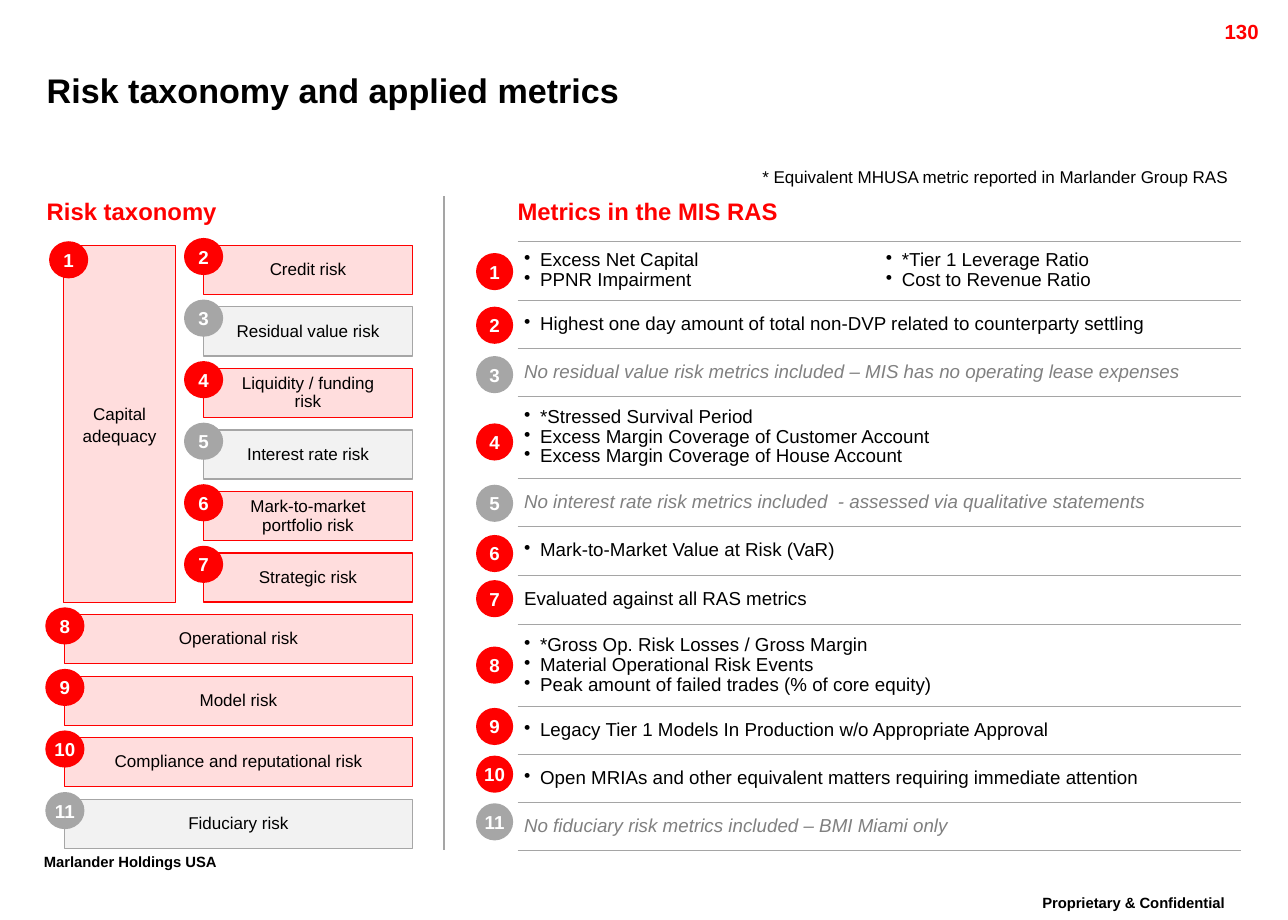
from lxml.etree import SubElement as Sub
from pptx import Presentation
from pptx.dml.color import RGBColor as RGB
from pptx.enum.shapes import MSO_CONNECTOR as LINE, MSO_SHAPE as SHAPE
from pptx.enum.text import MSO_ANCHOR as ANCHOR, PP_ALIGN as ALIGN
from pptx.oxml.ns import qn
from pptx.util import Pt

HUES = {"red": "FF0000", "pink": "FFDDDD", "gray": "A6A6A6", "pale": "F2F2F2",
        "rule": "A5A5A5", "mute": "808080", "black": "000000", "white": "FFFFFF"}

GRAY = {3, 5, 11}  # risks without metrics

# number, label, side inset
RISKS = [
    (2, ["Credit risk"], 3),
    (3, ["Residual value risk"], 3),
    (4, ["Liquidity / funding risk"], 14.4),
    (5, ["Interest rate risk"], 3),
    (6, ["Mark-to-market", "portfolio risk"], 7.2),
    (7, ["Strategic risk"], 3),
    (8, ["Operational risk"], 3),
    (9, ["Model risk"], 3),
    (10, ["Compliance and reputational risk"], 3),
    (11, ["Fiduciary risk"], 3),
]

# badge top, row height, columns spanned, lines
METRICS = [
    (148.5, 34.7, 1, ["Excess Net Capital", "PPNR Impairment"]),
    (180, 28.2, 3, ["Highest one day amount of total non-DVP related to counterparty settling"]),
    (209, 28.2, 3, ["No residual value risk metrics included – MIS has no operating lease expenses"]),
    (248.5, 48.1, 3, ["*Stressed Survival Period",
                      "Excess Margin Coverage of Customer Account",
                      "Excess Margin Coverage of House Account"]),
    (284.5, 28.2, 3, ["No interest rate risk metrics included  - assessed via qualitative statements"]),
    (314, 28.2, 2, ["Mark-to-Market Value at Risk (VaR)"]),
    (340.5, 28.2, 2, ["Evaluated against all RAS metrics"]),
    (379.5, 48.1, 3, ["*Gross Op. Risk Losses / Gross Margin",
                      "Material Operational Risk Events",
                      "Peak amount of failed trades (% of core equity)"]),
    (415.5, 28.2, 3, ["Legacy Tier 1 Models In Production w/o Appropriate Approval"]),
    (443.5, 28.2, 3, ["Open MRIAs and other equivalent matters requiring immediate attention"]),
    (471.5, 28.2, 3, ["No fiduciary risk metrics included – BMI Miami only"]),
]
MORE = ["*Tier 1 Leverage Ratio", "Cost to Revenue Ratio"]


def hue(name):
    return RGB.from_string(HUES[name])


def write(frame, lines, size, color="black", bold=False, slant=False,
          align=ALIGN.LEFT, lead=1.0, dots=False, base=None):
    for i, line in enumerate(lines):
        para = frame.add_paragraph() if i else frame.paragraphs[0]
        para.alignment = align
        para.line_spacing = lead
        if dots:
            props = para._p.get_or_add_pPr()
            props.set("marL", str(Pt(9.4)))
            props.set("indent", str(Pt(-9.4)))
            Sub(props, qn("a:buChar")).set("char", "•")
        run = para.add_run()
        run.text = line
        font = run.font
        font.name, font.size = "Arial", Pt(size)
        font.bold, font.italic = bold, slant
        font.color.rgb = hue(color)
        if base:
            run._r.get_or_add_rPr().set("baseline", str(base))


def pad(frame, side, end):
    frame.margin_left = frame.margin_right = Pt(side)
    frame.margin_top = frame.margin_bottom = Pt(end)


def label(slide, area, text, size, inset=(7.2, 3.6), wrap=True,
          anchor=ANCHOR.TOP, **style):
    frame = slide.shapes.add_textbox(*map(Pt, area)).text_frame
    frame.word_wrap = wrap
    frame.vertical_anchor = anchor
    pad(frame, *inset)
    write(frame, [text], size, **style)


def block(slide, kind, area, fill, edge=None):
    shape = slide.shapes.add_shape(kind, *map(Pt, area))
    shape.shadow.inherit = False
    shape.fill.solid()
    shape.fill.fore_color.rgb = hue(fill)
    if edge:
        shape.line.color.rgb = hue(edge)
        shape.line.width = Pt(0.75)
    else:
        shape.line.fill.background()
    shape.text_frame.vertical_anchor = ANCHOR.MIDDLE
    return shape.text_frame


def box(slide, num, area, lines, side=3, lead=0.92):
    fill, edge = ("pale", "gray") if num in GRAY else ("pink", "red")
    frame = block(slide, SHAPE.RECTANGLE, area, fill, edge)
    frame.word_wrap = True
    pad(frame, side, 3)
    write(frame, lines, 10, align=ALIGN.CENTER, lead=lead)


def badge(slide, num, left, top, width):
    fill = "gray" if num in GRAY else "red"
    frame = block(slide, SHAPE.OVAL, (left, top, width, 21.8), fill)
    frame.word_wrap = False
    write(frame, [str(num)], 11, "white", bold=True, align=ALIGN.CENTER)


def taxonomy(slide):
    box(slide, 1, (37.4, 144, 65.6, 209.5), ["Capital adequacy"], lead=1.07)
    badge(slide, 1, 28.8, 141.6, 23)
    for i, (num, lines, side) in enumerate(RISKS):
        left, spot = (119.5, 108) if num < 8 else (37.8, 26.6)
        top = 144 + 36.13 * i
        box(slide, num, (left, top, 242 - left, 28.8), lines, side)
        badge(slide, num, spot, top - 4.3, 23)


def border(cell):
    """Rule a cell above and below only."""
    props = cell._tc.get_or_add_tcPr()
    for side in "LRTB":
        line = Sub(props, qn("a:ln" + side), w=str(Pt(0.75)))
        if side in "LR":
            Sub(line, qn("a:noFill"))
        else:
            fill = Sub(line, qn("a:solidFill"))
            Sub(fill, qn("a:srgbClr"), val=HUES["rule"])
    cell.fill.background()


def fill(cell, num, lines):
    cell.vertical_anchor = ANCHOR.MIDDLE
    pad(cell, 3.8, 3.6)
    mute = num in GRAY
    write(cell.text_frame, lines, 11, "mute" if mute else "black",
          slant=mute, lead=0.95, dots=not mute and num != 7)


def metrics(slide):
    high = sum(row[1] for row in METRICS)
    table = slide.shapes.add_table(len(METRICS), 3, Pt(303.8), Pt(141.5),
                                   Pt(424.4), Pt(high)).table
    table.first_row = table.horz_banding = False
    for col, width in zip(table.columns, (212.4, 103.5, 108.5)):
        col.width = Pt(width)
    for i, (top, height, span, lines) in enumerate(METRICS):
        table.rows[i].height = Pt(height)
        for j in range(3):
            border(table.cell(i, j))
        if span > 1:
            table.cell(i, 0).merge(table.cell(i, span - 1))
        fill(table.cell(i, 0), i + 1, lines)
        badge(slide, i + 1, 279.4, top, 21.8)
    table.cell(0, 1).merge(table.cell(0, 2))
    fill(table.cell(0, 1), 1, MORE)


def rule(slide, left, top, end):
    line = slide.shapes.add_connector(LINE.STRAIGHT, Pt(left), Pt(top), Pt(left), Pt(end))
    line.line.color.rgb = hue("rule")
    line.line.width = Pt(0.75)
    Sub(line._element.spPr, qn("a:effectLst"))


def main():
    deck = Presentation()
    deck.slide_width, deck.slide_height = Pt(756), Pt(540)
    slide = deck.slides.add_slide(deck.slide_layouts[6])
    label(slide, (27.4, 35.3, 682.6, 34.6), "Risk taxonomy and applied metrics", 20,
          (0, 0), anchor=ANCHOR.MIDDLE, bold=True)
    label(slide, (673.9, 7.9, 72, 17.3), "130", 12, color="red", bold=True,
          align=ALIGN.RIGHT)
    label(slide, (439.2, 95.8, 289.4, 18), "* Equivalent MHUSA metric reported in Marlander Group RAS",
          10, wrap=False, align=ALIGN.CENTER, lead=0.86)
    for left, width, text in ((27.4, 214.6, "Risk taxonomy"),
                              (303.8, 424.4, "Metrics in the MIS RAS")):
        label(slide, (left, 115.2, width, 32.4), text, 14, (0, 0), color="red", bold=True)
    taxonomy(slide)
    rule(slide, 260.6, 115.2, 499)
    metrics(slide)
    for area, text, align in (
            ((18.7, 497.5, 137.5, 23), "Marlander Holdings USA", ALIGN.LEFT),
            ((586.8, 522, 157, 23), "Proprietary & Confidential", ALIGN.CENTER)):
        label(slide, area, text, 15, bold=True, align=align, lead=0.86, base=30000)
    deck.save("out.pptx")


if __name__ == "__main__":
    main()
